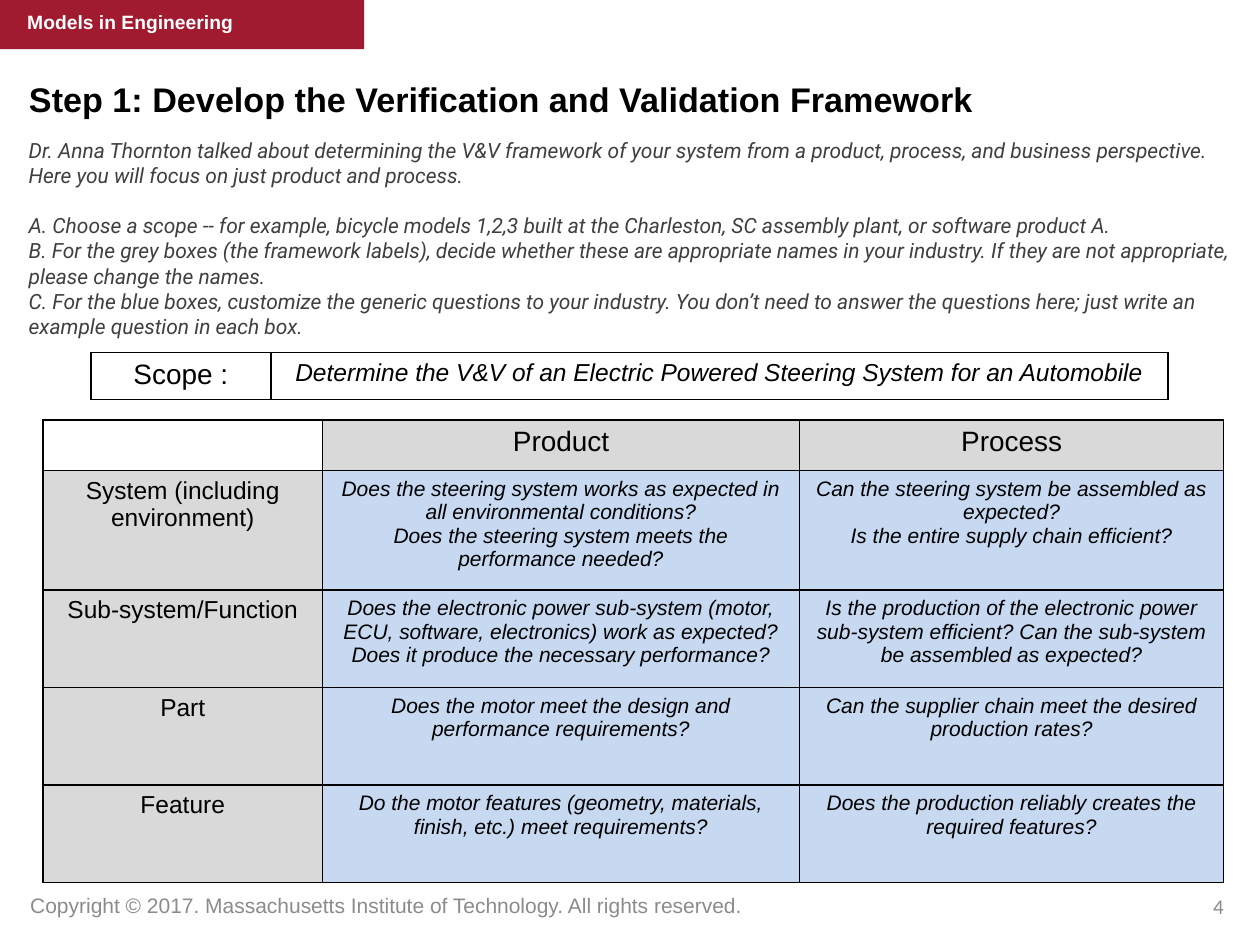
from lxml.etree import SubElement
from pptx import Presentation
from pptx.dml.color import RGBColor
from pptx.enum.shapes import MSO_SHAPE as SHAPE
from pptx.enum.text import MSO_ANCHOR as ANCHOR, PP_ALIGN as ALIGN
from pptx.oxml.ns import qn
from pptx.util import Cm, Pt

COLORS = {
    "banner": "A11B30",
    "white": "FFFFFF",
    "black": "000000",
    "body": "3F3F3F",
    "footer": "8A8B8C",
    "label": "D9D9D9",
    "question": "C6D9F1",
}

INSTRUCTIONS = [
    "Dr. Anna Thornton talked about determining the V&V framework of your system from a product, "
    "process, and business perspective. Here you will focus on just product and process.",
    "A. Choose a scope -- for example, bicycle models 1,2,3 built at the Charleston, SC assembly "
    "plant, or software product A.",
    "B. For the grey boxes (the framework labels), decide whether these are appropriate names in "
    "your industry. If they are not appropriate, please change the names.",
    "C. For the blue boxes, customize the generic questions to your industry. You don’t need to "
    "answer the questions here; just write an example question in each box.",
]

SCOPE = ["Scope :", "Determine the V&V of an Electric Powered Steering System for an Automobile"]

FRAMEWORK = [
    ["", "Product", "Process"],
    ["System (including environment)",
     "Does the steering system works as expected in all environmental conditions?\n"
     "Does the steering system meets the performance needed?",
     "Can the steering system be assembled as expected?\n"
     "Is the entire supply chain efficient?"],
    ["Sub-system/Function",
     "Does the electronic power sub-system (motor, ECU, software, electronics) work as expected? "
     "Does it produce the necessary performance?",
     "Is the production of the electronic power sub-system efficient? "
     "Can the sub-system be assembled as expected?"],
    ["Part",
     "Does the motor meet the design and performance requirements?",
     "Can the supplier chain meet the desired production rates?"],
    ["Feature",
     "Do the motor features (geometry, materials, finish, etc.) meet requirements?",
     "Does the production reliably creates the required features?"],
]


def rgb(name):
    return RGBColor.from_string(COLORS[name])


def write(tf, text, size, color="black", font="Arial", bold=False, italic=False, align=ALIGN.LEFT):
    tf.text = text
    for p in tf.paragraphs:
        p.alignment = align
        p.font.name = font
        p.font.size = Pt(size)
        p.font.bold = bold
        p.font.italic = italic
        p.font.color.rgb = rgb(color)


def add_text(slide, box, text, size, **style):
    tf = slide.shapes.add_textbox(*map(Cm, box)).text_frame
    tf.word_wrap = True
    write(tf, text, size, **style)
    return tf


def add_banner(slide, box, text):
    left, top, width, height = box
    sp = slide.shapes.add_shape(SHAPE.RECTANGLE, *map(Cm, box))
    sp.shadow.inherit = False
    sp.fill.solid()
    sp.fill.fore_color.rgb = rgb("banner")
    sp.line.fill.background()
    add_text(slide, (left + 0.3, top + 0.08, width - 0.3, height), text, 11,
             color="white", bold=True)


def add_title(slide, box, text):
    title = slide.shapes.title
    title.left, title.top, title.width, title.height = map(Cm, box)
    tf = title.text_frame
    tf.margin_top = tf.margin_bottom = Cm(0.25)
    tf.vertical_anchor = ANCHOR.MIDDLE
    write(tf, text, 19.5, bold=True)


def add_instructions(slide, box, paragraphs):
    tf = add_text(slide, box, "\n".join(paragraphs), 12, color="body", font="Roboto", italic=True)
    tf.paragraphs[1].space_before = Pt(14.4)


def add_borders(cell):
    tcPr = cell._tc.get_or_add_tcPr()
    for i, side in enumerate(("lnL", "lnR", "lnT", "lnB")):
        ln = tcPr.makeelement(qn(f"a:{side}"), {"w": str(Pt(1))})
        fill = SubElement(ln, qn("a:solidFill"))
        SubElement(fill, qn("a:srgbClr"), val=COLORS["black"])
        tcPr.insert(i, ln)


def add_grid(slide, left, top, widths, heights):
    table = slide.shapes.add_table(len(heights), len(widths), Cm(left), Cm(top),
                                   Cm(sum(widths)), Cm(sum(heights))).table
    table.first_row = table.horz_banding = False
    for column, width in zip(table.columns, widths):
        column.width = Cm(width)
    for row, height in zip(table.rows, heights):
        row.height = Cm(height)
    for cell in table.iter_cells():
        cell.fill.background()
        add_borders(cell)
    return table


def add_scope(slide, box, texts):
    left, top, width, height = box
    label_width = 3.63
    table = add_grid(slide, left, top, [label_width, width - label_width], [height])
    label, scope = texts
    write(table.cell(0, 0).text_frame, label, 16, align=ALIGN.CENTER)
    write(table.cell(0, 1).text_frame, scope, 14, italic=True, align=ALIGN.CENTER)


def add_framework(slide, box, rows):
    left, top, width, height = box
    label_width, product_width = 5.63, 9.62
    header_height, system_height = 0.99, 2.41
    other_height = (height - header_height - system_height) / 3
    table = add_grid(slide, left, top,
                     [label_width, product_width, width - label_width - product_width],
                     [header_height, system_height] + [other_height] * 3)
    for r, row in enumerate(rows):
        for c, text in enumerate(row):
            if not text:
                continue
            cell = table.cell(r, c)
            question = r > 0 and c > 0
            cell.fill.solid()
            cell.fill.fore_color.rgb = rgb("question" if question else "label")
            size = 12 if question else 14 if r else 16
            write(cell.text_frame, text, size, italic=question, align=ALIGN.CENTER)


def add_footer(slide, box, text, number):
    left, top, width, height = box
    number_width = 5.92
    add_text(slide, (left, top, width - number_width, height), text, 12, color="footer")
    add_text(slide, (left + width - number_width, top + 0.03, number_width, height), number, 12,
             color="footer", font="Calibri", align=ALIGN.RIGHT)


def main():
    prs = Presentation()
    prs.slide_width, prs.slide_height = Cm(25.4), Cm(19.05)
    slide = prs.slides.add_slide(prs.slide_layouts[5])
    add_banner(slide, (0, 0, 7.34, 0.99), "Models in Engineering")
    add_title(slide, (0.33, 1.3, 22.33, 1.4),
              "Step 1: Develop the Verification and Validation Framework")
    add_instructions(slide, (0.33, 2.64, 24.87, 4.37), INSTRUCTIONS)
    add_scope(slide, (1.83, 7.11, 21.72, 0.94), SCOPE)
    add_framework(slide, (0.87, 8.47, 23.8, 9.3), FRAMEWORK)
    add_footer(slide, (0.36, 17.86, 24.56, 0.76),
               "Copyright © 2017. Massachusetts Institute of Technology. All rights reserved.", "4")
    prs.save("out.pptx")


if __name__ == "__main__":
    main()
